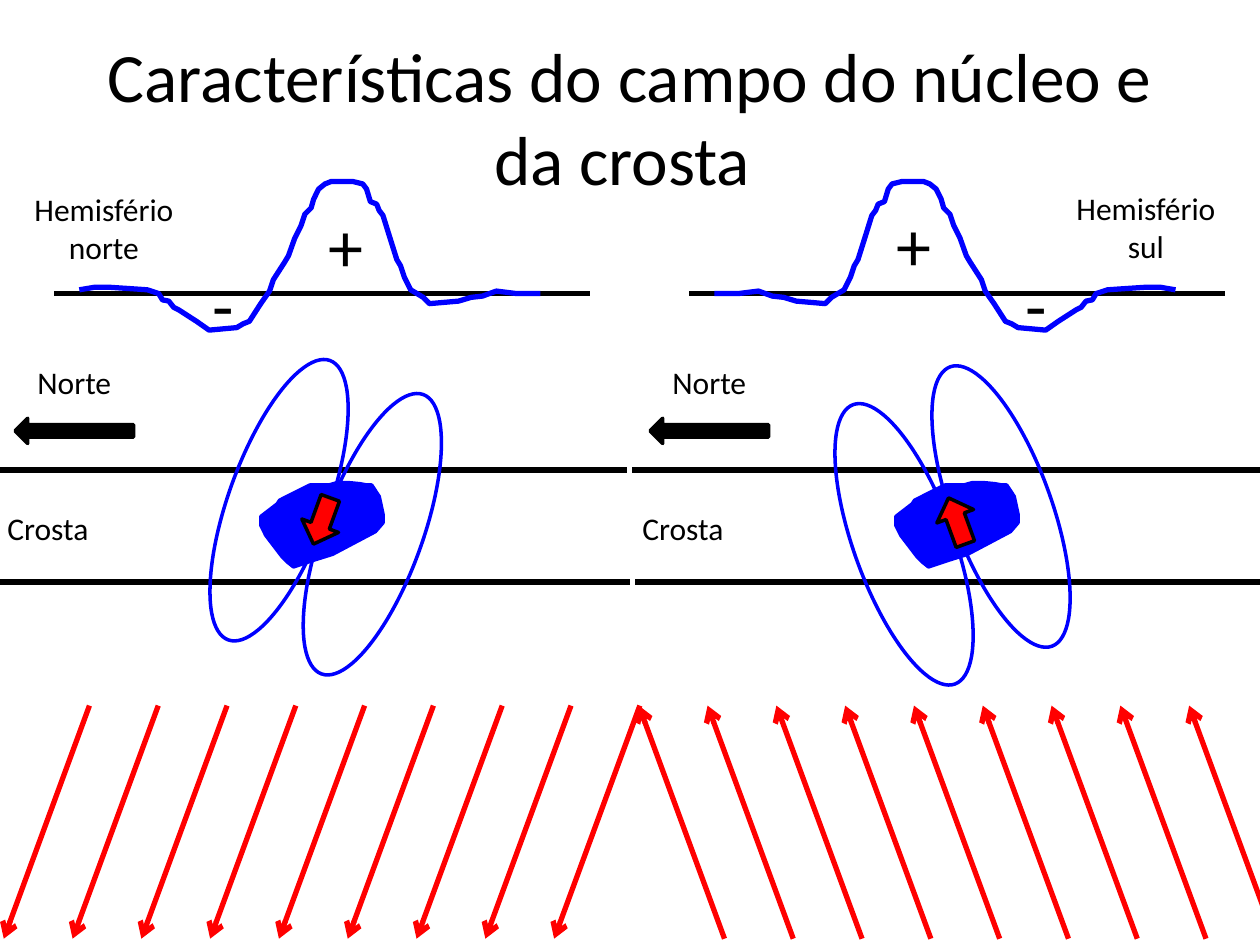
from dataclasses import dataclass

from lxml.etree import SubElement
from pptx import Presentation
from pptx.dml.color import RGBColor
from pptx.enum.shapes import MSO_CONNECTOR, MSO_SHAPE
from pptx.enum.text import MSO_ANCHOR, PP_ALIGN
from pptx.oxml.ns import qn
from pptx.util import Inches, Pt


@dataclass(frozen=True)
class Theme:
    """Colours, font, type sizes and line widths of the slide."""
    ink: RGBColor = RGBColor(0x00, 0x00, 0x00)
    anomaly: RGBColor = RGBColor(0x00, 0x00, 0xFF)
    field: RGBColor = RGBColor(0xFF, 0x00, 0x00)
    font: str = "Calibri"
    title: float = 39.6
    sign: float = 40
    label: float = 18
    thick: float = 3
    thin: float = 2


@dataclass(frozen=True)
class Hemisphere:
    """What differs between the two halves, in inches from the left of the half."""
    left: float
    name: str
    name_at: tuple
    plus_at: tuple
    minus_at: tuple
    loops: tuple
    tilt: float
    dipole: MSO_SHAPE
    mirrored: bool
    field_top: tuple
    field_bottom: tuple


THEME = Theme()
HALF_OFFSET = 5.04
MIRROR_SUM = 4.92
FIELD_COUNT = 9
FIELD_STEP = 0.546

NORTH = Hemisphere(
    left=0, name="norte", name_at=(0.04, 1.46), plus_at=(2.49, 1.56),
    minus_at=(1.52, 2.03), loops=((2.56, 3.06), (1.82, 2.79)), tilt=20,
    dipole=MSO_SHAPE.DOWN_ARROW, mirrored=False,
    field_top=(0.71, 5.6), field_bottom=(0.03, 7.45))
SOUTH = Hemisphere(
    left=HALF_OFFSET, name="sul", name_at=(3.27, 1.45), plus_at=(1.96, 1.55),
    minus_at=(2.93, 2.03), loops=((2.51, 2.84), (1.74, 3.14)), tilt=-20,
    dipole=MSO_SHAPE.UP_ARROW, mirrored=True,
    field_top=(0.03, 5.6), field_bottom=(0.71, 7.45))

ROCK = (
    (2.07, 4.1), (2.2, 4), (2.22, 3.97), (2.46, 3.85), (2.61, 3.85),
    (2.68, 3.83), (2.76, 3.83), (2.86, 3.84), (2.91, 3.85), (2.95, 3.85),
    (3.01, 3.94), (3.04, 4.08), (3.04, 4.15), (2.98, 4.22), (2.64, 4.4),
    (2.48, 4.45), (2.39, 4.48), (2.33, 4.5), (2.28, 4.46), (2.24, 4.42),
    (2.11, 4.25), (2.07, 4.17))
PROFILE = (
    (0.63, 2.3), (0.75, 2.28), (0.87, 2.28), (1.02, 2.29), (1.17, 2.3),
    (1.26, 2.33), (1.29, 2.38), (1.34, 2.39), (1.38, 2.44), (1.42, 2.46),
    (1.56, 2.55), (1.66, 2.62), (1.88, 2.6), (1.93, 2.57), (1.98, 2.55),
    (2.07, 2.41), (2.14, 2.31), (2.17, 2.22), (2.26, 2.08), (2.29, 2.03),
    (2.34, 1.89), (2.39, 1.79), (2.42, 1.7), (2.47, 1.65), (2.49, 1.58),
    (2.53, 1.5), (2.58, 1.46), (2.63, 1.44), (2.8, 1.44), (2.88, 1.46),
    (2.91, 1.5), (2.94, 1.6), (2.99, 1.62), (3.01, 1.67), (3.04, 1.71),
    (3.09, 1.87), (3.15, 2.06), (3.18, 2.11), (3.21, 2.2), (3.26, 2.3),
    (3.36, 2.36), (3.41, 2.41), (3.64, 2.39), (3.74, 2.36), (3.83, 2.35),
    (3.94, 2.31), (4.1, 2.33), (4.29, 2.33))


def add_text(slide, lines, left, top, width, height, size, align=PP_ALIGN.CENTER,
             anchor=MSO_ANCHOR.TOP):
    """Place wrapped text, one paragraph for each line."""
    box = slide.shapes.add_textbox(Inches(left), Inches(top), Inches(width), Inches(height))
    frame = box.text_frame
    frame.word_wrap = True
    frame.vertical_anchor = anchor
    frame.text = "\n".join(lines)
    for paragraph in frame.paragraphs:
        paragraph.alignment = align
        for run in paragraph.runs:
            run.font.name = THEME.font
            run.font.size = Pt(size)
            run.font.color.rgb = THEME.ink


def add_line(slide, start, end, color, arrow=False):
    """Draw a straight line, with an arrowhead at its end if asked."""
    line = slide.shapes.add_connector(
        MSO_CONNECTOR.STRAIGHT, *(Inches(value) for value in (*start, *end)))
    line.line.color.rgb = color
    line.line.width = Pt(THEME.thick)
    if arrow:
        SubElement(line.line._get_or_add_ln(), qn("a:tailEnd"), type="arrow")
    SubElement(line._element.spPr, qn("a:effectLst"))


def paint(shape, fill, outline, width):
    """Set fill and outline of a shape; a fill of None leaves it open."""
    shape.shadow.inherit = False
    if fill is None:
        shape.fill.background()
    else:
        shape.fill.solid()
        shape.fill.fore_color.rgb = fill
    shape.line.color.rgb = outline
    shape.line.width = Pt(width)


def add_preset(slide, kind, left, top, width, height, fill, outline, rotation=0):
    """Place a painted preset shape."""
    shape = slide.shapes.add_shape(
        kind, Inches(left), Inches(top), Inches(width), Inches(height))
    shape.rotation = rotation
    paint(shape, fill, outline, THEME.thin)


def add_outline(slide, points, fill, width, close):
    """Draw a path through the points in the anomaly colour."""
    vertices = [(Inches(x), Inches(y)) for x, y in points]
    builder = slide.shapes.build_freeform(*vertices[0])
    builder.add_line_segments(vertices[1:], close=close)
    paint(builder.convert_to_shape(), fill, THEME.anomaly, width)


def add_crust(slide, half):
    """Draw the crust layer with its magnetised rock and field loops."""
    left = half.left
    add_line(slide, (left, 4.62), (left + 5, 4.62), THEME.ink)
    add_line(slide, (left - 0.02, 3.73), (left + 4.98, 3.73), THEME.ink)
    add_outline(slide, [(left + x, y) for x, y in ROCK], THEME.anomaly, THEME.thin, True)
    for x, y in half.loops:
        add_preset(slide, MSO_SHAPE.OVAL, left + x, y, 0.79, 2.36, None,
                   THEME.anomaly, half.tilt)
    add_text(slide, ["Crosta"], left - 0.04, 3.99, 1.06, 0.4, THEME.label, PP_ALIGN.LEFT)
    add_preset(slide, half.dipole, left + 2.4, 3.94, 0.31, 0.39, THEME.field,
               THEME.ink, half.tilt)


def add_core_field(slide, half):
    """Draw the row of parallel core field arrows."""
    top_x, top_y = half.field_top
    bottom_x, bottom_y = half.field_bottom
    for index in range(FIELD_COUNT):
        shift = half.left + index * FIELD_STEP
        top, bottom = (top_x + shift, top_y), (bottom_x + shift, bottom_y)
        start, end = (bottom, top) if half.mirrored else (top, bottom)
        add_line(slide, start, end, THEME.field, arrow=True)


def add_north_pointer(slide, left):
    """Draw the arrow pointing north and its label."""
    add_preset(slide, MSO_SHAPE.LEFT_ARROW, left + 0.12, 3.32, 0.94, 0.2,
               THEME.ink, THEME.ink)
    add_text(slide, ["Norte"], left + 0.12, 2.83, 0.94, 0.4, THEME.label)


def add_profile(slide, half):
    """Draw the anomaly profile on its baseline, with signs and hemisphere name."""
    left = half.left
    add_line(slide, (left + 0.43, 2.33), (left + 4.68, 2.33), THEME.ink)
    curve = [(left + (MIRROR_SUM - x if half.mirrored else x), y) for x, y in PROFILE]
    add_outline(slide, curve, None, THEME.thick, False)
    for sign, (x, y) in (("+", half.plus_at), ("-", half.minus_at)):
        add_text(slide, [sign], left + x, y, 0.51, 0.77, THEME.sign)
    x, y = half.name_at
    add_text(slide, ["Hemisfério", half.name], left + x, y, 1.57, 0.71, THEME.label)


def main():
    """Build and save the slide."""
    deck = Presentation()
    deck.slide_width, deck.slide_height = Inches(10), Inches(7.5)
    slide = deck.slides.add_slide(deck.slide_layouts[6])
    add_text(slide, ["Características do campo do núcleo e da crosta "],
             0.5, 0.3, 9, 1.25, THEME.title, anchor=MSO_ANCHOR.MIDDLE)
    for half in (NORTH, SOUTH):
        add_crust(slide, half)
        add_core_field(slide, half)
        add_north_pointer(slide, half.left)
        add_profile(slide, half)
    deck.save("out.pptx")


if __name__ == "__main__":
    main()
